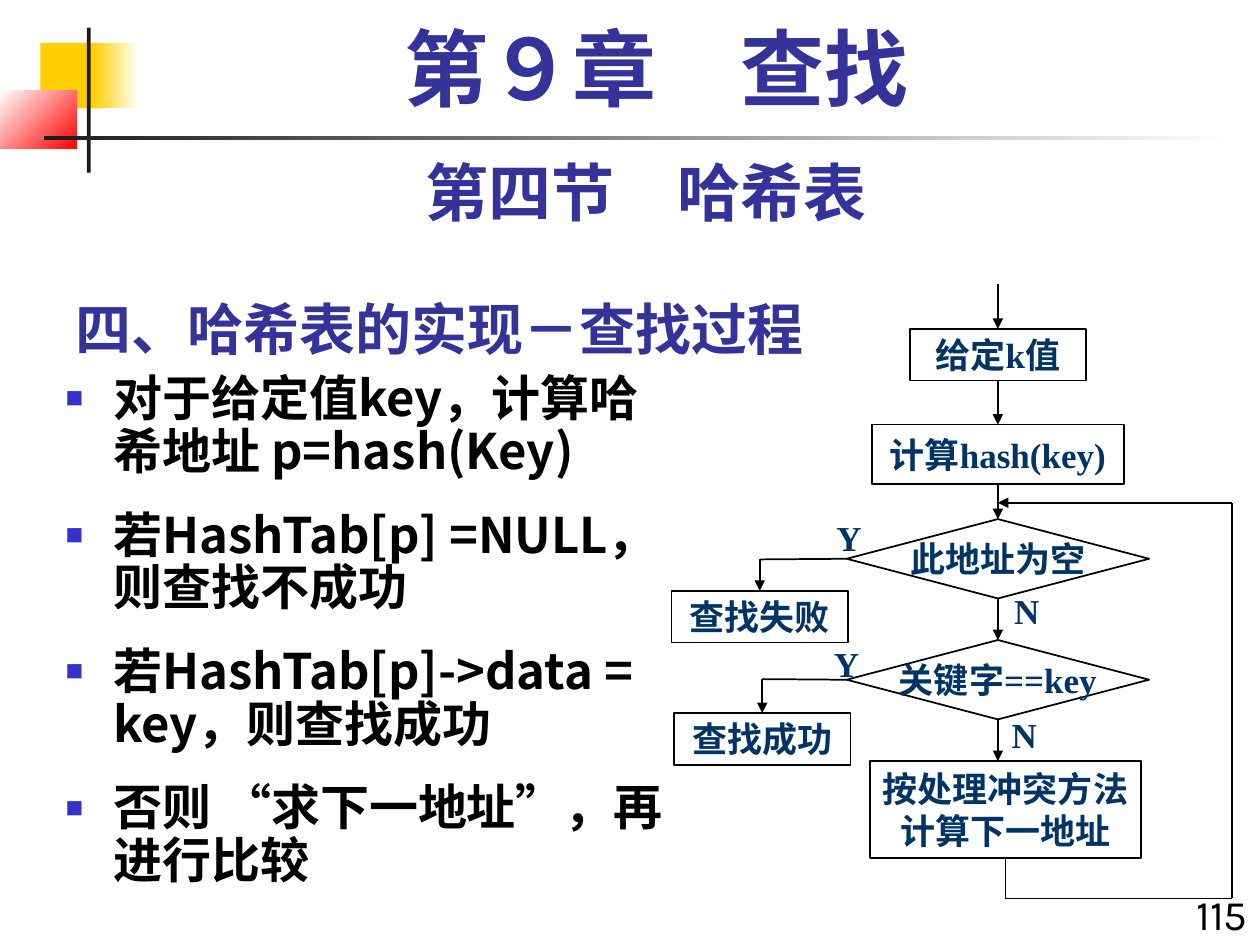
from lxml.etree import SubElement
from pptx import Presentation
from pptx.dml.color import RGBColor
from pptx.enum.shapes import MSO_CONNECTOR, MSO_SHAPE
from pptx.enum.text import MSO_ANCHOR, MSO_AUTO_SIZE, PP_ALIGN
from pptx.oxml.ns import qn
from pptx.util import Inches, Pt

COLORS = {
    "black": "000000", "heading": "333399", "label": "003366", "bullet": "3333CC",
    "yellow": "FFCF01", "red": "FF0000", "white": "FFFFFF", "rule": "1C1C1C",
}
CJK = "Noto Sans CJK SC"
SERIF = "Times New Roman"
SANS = "Karla"
LABEL = {"size": 20, "name": SERIF, "color": "label", "bold": True}


def color(name):
    return RGBColor.from_string(COLORS[name])


class SlideBuilder:
    def __init__(self, presentation):
        self.slide = presentation.slides.add_slide(presentation.slide_layouts[1])
        self.nodes = {}

    def add_styled_run(self, paragraph, text, style):
        run = paragraph.add_run()
        run.text = text
        values = {"size": Pt(style["size"]), "name": style["name"], "bold": style["bold"]}
        for attribute, value in values.items():
            setattr(run.font, attribute, value)
        run.font.color.rgb = color(style["color"])
        SubElement(run.font._element, qn("a:ea")).set("typeface", CJK)

    def fill_text(self, shape, lines, style, paragraph_format=None, bulleted=False,
                  **frame_format):
        frame = shape.text_frame
        for attribute, value in frame_format.items():
            setattr(frame, attribute, value)
        for index, line in enumerate(lines):
            paragraph = frame.add_paragraph() if index else frame.paragraphs[0]
            if bulleted:
                self.add_bullet(paragraph)
            for attribute, value in (paragraph_format or {}).items():
                setattr(paragraph, attribute, value)
            if index == 0:
                paragraph.space_before = Pt(0)
            for text, name in [(line, style["name"])] if isinstance(line, str) else line:
                self.add_styled_run(paragraph, text, {**style, "name": name})

    def add_bullet(self, paragraph):
        properties = paragraph._p.get_or_add_pPr()
        properties.set("marL", str(Inches(0.38)))
        properties.set("indent", str(-Inches(0.38)))
        bullet_color = SubElement(properties, qn("a:buClr"))
        SubElement(bullet_color, qn("a:srgbClr")).set("val", COLORS["bullet"])
        SubElement(properties, qn("a:buSzPct")).set("val", "60000")
        SubElement(properties, qn("a:buChar")).set("char", "■")

    def place(self, shape, *box):
        for attribute, value in zip(("left", "top", "width", "height"), box):
            setattr(shape, attribute, Inches(value))
        return shape

    def title(self, box, text, style):
        shape = self.place(self.slide.shapes.title, *box)
        self.fill_text(shape, [text], style, {"alignment": PP_ALIGN.LEFT},
                       vertical_anchor=MSO_ANCHOR.BOTTOM, auto_size=MSO_AUTO_SIZE.NONE)

    def body(self, box, lines, style):
        shape = self.place(self.slide.placeholders[1], *box)
        self.fill_text(shape, lines, style, {"line_spacing": 0.9, "space_before": Pt(17.5)},
                       bulleted=True, auto_size=MSO_AUTO_SIZE.NONE)

    def text(self, box, text, style, alignment=PP_ALIGN.LEFT, line_spacing=1.0, wrap=True):
        shape = self.slide.shapes.add_textbox(*map(Inches, box))
        self.fill_text(shape, [text], style,
                       {"alignment": alignment, "line_spacing": line_spacing}, word_wrap=wrap)

    def ornament(self, box, start, end=None, angle=0):
        shape = self.slide.shapes.add_shape(MSO_SHAPE.RECTANGLE, *map(Inches, box))
        shape.shadow.inherit = False
        shape.line.fill.background()
        if end is None:
            shape.fill.solid()
            shape.fill.fore_color.rgb = color(start)
            return
        shape.fill.gradient()
        shape.fill.gradient_angle = angle
        for stop, name in zip(shape.fill.gradient_stops, (start, end)):
            stop.color.rgb = color(name)

    def node(self, name, kind, box, lines):
        shape = self.slide.shapes.add_shape(kind, *map(Inches, box))
        shape.shadow.inherit = False
        shape.fill.background()
        shape.line.color.rgb = color("black")
        shape.line.width = Pt(1)
        self.fill_text(shape, lines, LABEL, {"alignment": PP_ALIGN.CENTER},
                       vertical_anchor=MSO_ANCHOR.MIDDLE, word_wrap=False)
        self.nodes[name] = shape

    def connect(self, begin, end, arrow=False):
        joined = [isinstance(point[0], str) for point in (begin, end)]
        points = [(0, 0) if join else point for point, join in zip((begin, end), joined)]
        connector = self.slide.shapes.add_connector(
            MSO_CONNECTOR.STRAIGHT, *(Inches(value) for point in points for value in point))
        if joined[0]:
            connector.begin_connect(self.nodes[begin[0]], begin[1])
        if joined[1]:
            connector.end_connect(self.nodes[end[0]], end[1])
        connector.line.color.rgb = color("black")
        connector.line.width = Pt(1)
        if arrow:
            SubElement(connector.line._get_or_add_ln(), qn("a:tailEnd")).set("type", "triangle")
        SubElement(connector._element.spPr, qn("a:effectLst"))


def add_ornaments(builder):
    builder.ornament((0.32, 0.34, 0.48, 0.52), "yellow")
    builder.ornament((0.74, 0.34, 0.36, 0.52), "yellow", "white")
    builder.ornament((0, 0.72, 0.61, 0.46), "white", "red", 315)
    builder.ornament((0.69, 0.22, 0.03, 1.15), "rule")
    builder.ornament((0.35, 1.08, 9.45, 0.03), "rule", "white")


def add_texts(builder):
    heading = {"size": 32, "name": CJK, "color": "heading", "bold": True}
    builder.title((0.5, 2.17, 9.25, 0.75), "四、哈希表的实现－查找过程", heading)
    builder.text((9.08, 7, 0.92, 0.59), "115",
                 {"size": 24, "name": SANS, "color": "black", "bold": False}, PP_ALIGN.RIGHT)
    builder.text((0.5, 1.17, 9.25, 0.7), "第四节　哈希表",
                 {**heading, "size": 36, "name": SANS}, PP_ALIGN.CENTER)
    builder.body((0.42, 2.92, 5, 4.58), [
        "对于给定值key，计算哈希地址 p=hash(Key)",
        "若HashTab[p] =NULL，则查找不成功",
        "若HashTab[p]->data = key，则查找成功",
        [("否则 ", CJK), ("“", SERIF), ("求下一地址", CJK), ("”", SERIF), ("，再进行比较", CJK)],
    ], {"size": 28, "name": CJK, "color": "black", "bold": True})
    builder.text((0.67, 0.17, 9.08, 0.83), "第９章　查找",
                 {**heading, "size": 48, "name": SERIF}, PP_ALIGN.CENTER, 0.9)


def add_flowchart(builder):
    process, decision = MSO_SHAPE.FLOWCHART_PROCESS, MSO_SHAPE.FLOWCHART_DECISION
    axis = 7.92
    for name, kind, center, top, width, height, lines in [
        ("given", process, axis, 2.61, 1.4, 0.41, ["给定k值"]),
        ("hash", process, axis, 3.37, 2, 0.47, ["计算hash(key)"]),
        ("empty", decision, axis, 4.12, 2.4, 0.63, ["此地址为空"]),
        ("equal", decision, axis, 5.08, 2.4, 0.63, ["关键字==key"]),
        ("failure", process, 6.03, 4.69, 1.4, 0.41, ["查找失败"]),
        ("success", process, 6.05, 5.66, 1.4, 0.41, ["查找成功"]),
        ("next", process, 7.98, 6.04, 2.15, 0.77, ["按处理冲突方法", "计算下一地址"]),
    ]:
        builder.node(name, kind, (center - width / 2, top, width, height), lines)

    for begin, end in [
        ((axis, 2.25), ("given", 0)),
        (("given", 2), ("hash", 0)),
        (("hash", 2), ("empty", 0)),
        (("empty", 2), ("equal", 0)),
        (("equal", 2), (axis, 6.04)),
        ((6.03, 4.44), ("failure", 0)),
        ((6.05, 5.39), ("success", 0)),
        ((9.78, 3.99), (axis, 3.99)),
    ]:
        builder.connect(begin, end, arrow=True)
    for begin, end in [
        (("empty", 1), (6.03, 4.44)),
        (("equal", 1), (6.05, 5.39)),
        (("next", 2), (7.98, 7.13)),
        ((7.98, 7.13), (9.78, 7.13)),
        ((9.78, 7.13), (9.78, 3.99)),
    ]:
        builder.connect(begin, end)

    for text, left, top in [("Y", 6.54, 4.05), ("N", 7.95, 4.63),
                            ("Y", 6.52, 5.05), ("N", 7.93, 5.61)]:
        builder.text((left, top, 0.4, 0.44), text, LABEL, wrap=False)


def main():
    presentation = Presentation()
    presentation.slide_width = Inches(10)
    presentation.slide_height = Inches(7.5)
    builder = SlideBuilder(presentation)
    add_ornaments(builder)
    add_texts(builder)
    add_flowchart(builder)
    presentation.save("out.pptx")


if __name__ == "__main__":
    main()
